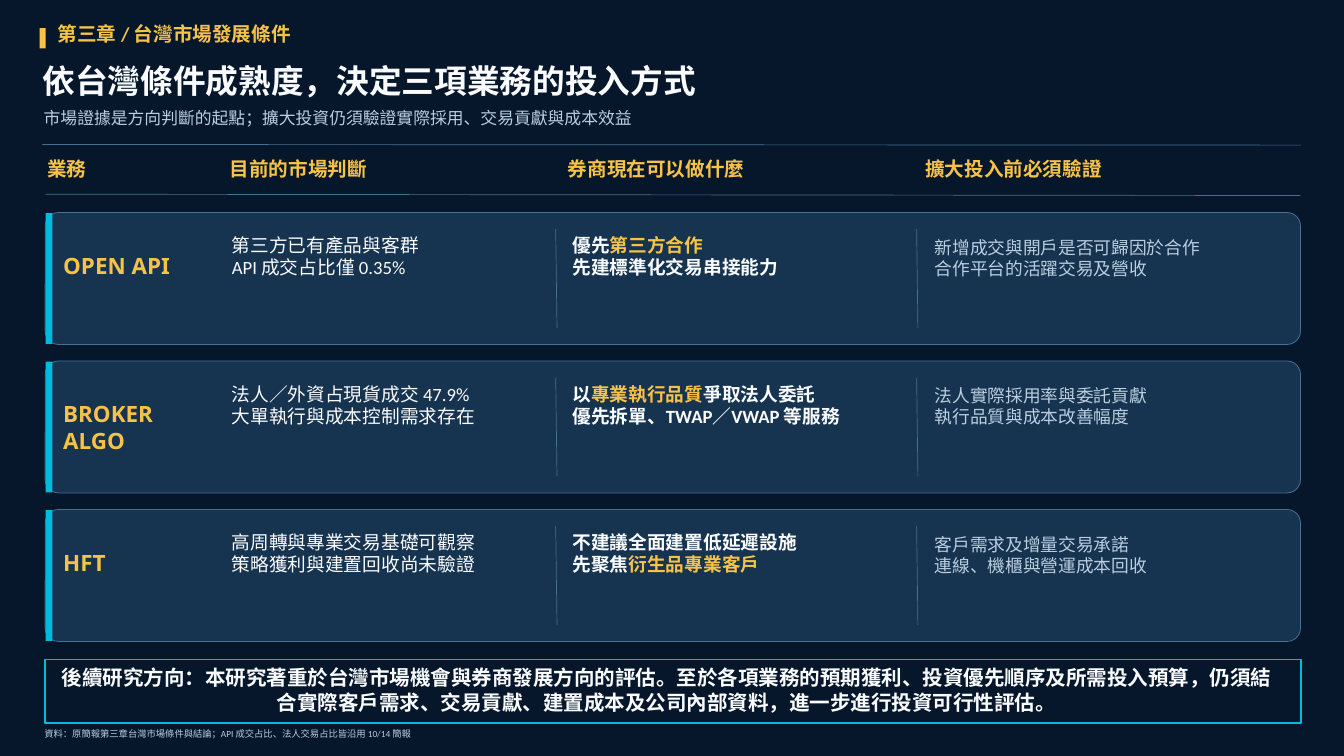
"""Build the slide that matches three brokerage businesses to Taiwan market conditions."""
from dataclasses import dataclass
from typing import NamedTuple

from lxml.etree import SubElement
from pptx import Presentation
from pptx.dml.color import RGBColor
from pptx.enum.shapes import MSO_CONNECTOR, MSO_SHAPE
from pptx.enum.text import MSO_ANCHOR, PP_ALIGN
from pptx.oxml.ns import qn
from pptx.util import Pt


@dataclass(frozen=True)
class Theme:
    bg: str = "06172B"
    card: str = "16334F"
    rule: str = "467192"
    cyan: str = "00BBDE"
    gold: str = "F6C247"
    white: str = "FAFCFF"
    muted: str = "BACEDF"
    font: str = "Calibri"
    label_font: str = "Noto Sans"
    title: float = 35
    label: float = 24
    summary: float = 22
    heading: float = 21
    body: float = 20
    check: float = 19
    subtitle: float = 18
    source: float = 10


T = Theme()


class Box(NamedTuple):
    x: float
    y: float
    w: float
    h: float


class Style(NamedTuple):
    size: float
    color: str
    bold: bool = False
    font: str = T.font
    align: PP_ALIGN = PP_ALIGN.LEFT


class Accent(NamedTuple):
    text: str


Line = tuple[str | Accent, ...]


@dataclass(frozen=True)
class Business:
    label: tuple[str, ...]
    market: tuple[str, ...]
    action: tuple[Line, ...]
    check: tuple[str, ...]


HEADING = Style(T.heading, T.gold, True)
TITLE = Style(T.title, T.white, True)
SUBTITLE = Style(T.subtitle, T.muted)
LABEL = Style(T.label, T.gold, True, T.label_font)
MARKET = Style(T.body, T.white)
ACTION = Style(T.body, T.white, True)
CHECK = Style(T.check, T.muted)
SUMMARY = Style(T.summary, T.white, True, align=PP_ALIGN.CENTER)
SOURCE = Style(T.source, T.muted)

HEADINGS = (
    ("業務", 50.4, 184),
    ("目前的市場判斷", 246.2, 349),
    ("券商現在可以做什麼", 608.4, 373),
    ("擴大投入前必須驗證", 991.4, 398),
)

BUSINESSES = (
    Business(
        ("OPEN API",),
        ("第三方已有產品與客群", "API 成交占比僅 0.35%"),
        (("優先", Accent("第三方合作")), ("先建標準化交易串接能力",)),
        ("新增成交與開戶是否可歸因於合作", "合作平台的活躍交易及營收"),
    ),
    Business(
        ("BROKER", "ALGO"),
        ("法人／外資占現貨成交 47.9%", "大單執行與成本控制需求存在"),
        (("以", Accent("專業執行品質"), "爭取法人委託"), ("優先拆單、TWAP／VWAP 等服務",)),
        ("法人實際採用率與委託貢獻", "執行品質與成本改善幅度"),
    ),
    Business(
        ("HFT",),
        ("高周轉與專業交易基礎可觀察", "策略獲利與建置回收尚未驗證"),
        (("不建議全面建置低延遲設施",), ("先聚焦", Accent("衍生品專業客戶"))),
        ("客戶需求及增量交易承諾", "連線、機櫃與營運成本回收"),
    ),
)

ROW_TOP, ROW_PITCH, ROW_H = 227.7, 159.1, 141.4


def rgb(color: str) -> RGBColor:
    """Turn a hex string into a colour."""
    return RGBColor.from_string(color)


def write(sp, lines: tuple[Line, ...], style: Style) -> None:
    """Fill a text shape with lines of runs, with no insets and exact leading."""
    tf = sp.text_frame
    tf.word_wrap = True
    tf.vertical_anchor = MSO_ANCHOR.TOP
    tf.margin_left = tf.margin_top = tf.margin_right = tf.margin_bottom = 0
    for i, line in enumerate(lines):
        p = tf.add_paragraph() if i else tf.paragraphs[0]
        p.alignment = style.align
        p.line_spacing = Pt(round(style.size * 1.2, 1))
        for part in line:
            r = p.add_run()
            accent = isinstance(part, Accent)
            r.text = part.text if accent else part
            r.font.name = style.font
            r.font.size = Pt(style.size)
            r.font.bold = style.bold
            r.font.color.rgb = rgb(T.gold if accent else style.color)


def add_text(s, box: Box, lines: tuple[Line, ...], style: Style) -> None:
    """Add a text box."""
    write(s.shapes.add_textbox(*map(Pt, box)), lines, style)


def add_box(s, box: Box, fill: str, line: str | None = None,
            width: float = 0, radius: float = 0) -> None:
    """Add a filled rectangle, rounded when a radius is given."""
    kind = MSO_SHAPE.ROUNDED_RECTANGLE if radius else MSO_SHAPE.RECTANGLE
    sp = s.shapes.add_shape(kind, *map(Pt, box))
    sp.shadow.inherit = False
    sp.fill.solid()
    sp.fill.fore_color.rgb = rgb(fill)
    if radius:
        sp.adjustments[0] = radius / min(box.w, box.h)
    if line:
        sp.line.color.rgb = rgb(line)
        sp.line.width = Pt(width)
    else:
        sp.line.fill.background()


def add_rule(s, x1: float, y1: float, x2: float, y2: float) -> None:
    """Add a thin dividing line."""
    c = s.shapes.add_connector(MSO_CONNECTOR.STRAIGHT, Pt(x1), Pt(y1), Pt(x2), Pt(y2))
    c.line.color.rgb = rgb(T.rule)
    c.line.width = Pt(0.75)
    SubElement(c._element.spPr, qn("a:effectLst"))


def add_header(s) -> None:
    """Add the chapter tag, title, subtitle and column headings."""
    add_box(s, Box(42.5, 30.2, 6.5, 21.6), T.gold)
    add_text(s, Box(61.9, 23, 864, 34), (("第三章 / 台灣市場發展條件",),), HEADING)
    sp = s.shapes.title
    sp.left, sp.top, sp.width, sp.height = map(Pt, Box(45.4, 64.8, 1357, 52.6))
    write(sp, (("依台灣條件成熟度，決定三項業務的投入方式",),), TITLE)
    add_text(s, Box(46.8, 115.9, 1325, 29.5),
             (("市場證據是方向判斷的起點；擴大投資仍須驗證實際採用、交易貢獻與成本效益",),), SUBTITLE)
    add_rule(s, 45.4, 154.8, 1393.9, 155.5)
    for text, x, w in HEADINGS:
        add_text(s, Box(x, 168.5, w, 34.5), ((text,),), HEADING)
    add_rule(s, 49, 208.1, 1393.2, 209.5)


def add_business(s, b: Business, y: float) -> None:
    """Add one business card with its four columns."""
    add_box(s, Box(48.4, y, 1345, ROW_H), T.card, T.rule, 0.85, 14.4)
    add_box(s, Box(49, y + 0.6, 7.2, ROW_H - 1.2), T.cyan)
    add_text(s, Box(67.7, y + 42.3, 161.3, 49), tuple((t,) for t in b.label), LABEL)
    add_text(s, Box(248.4, y + 22.9, 338.4, 90.7), tuple((t,) for t in b.market), MARKET)
    add_text(s, Box(613.4, y + 22.9, 360, 51.1), b.action, ACTION)
    add_text(s, Box(1001.5, y + 25.7, 373, 89.3), tuple((t,) for t in b.check), CHECK)
    for x in (595.4, 982.1):
        add_rule(s, x, y + 17.8, x + 1.4, y + 123.7)


def add_footer(s) -> None:
    """Add the framed summary and the source line."""
    add_box(s, Box(48.2, 706.3, 1345.7, 68.4), T.bg, T.cyan, 1.3)
    add_text(s, Box(56.2, 712.8, 1315.4, 56.2), ((
        "後續研究方向：本研究著重於台灣市場機會與券商發展方向的評估。"
        "至於各項業務的預期獲利、投資優先順序及所需投入預算，"
        "仍須結合實際客戶需求、交易貢獻、建置成本及公司內部資料，進一步進行投資可行性評估。",),), SUMMARY)
    add_text(s, Box(47.5, 779.8, 1335, 15.1),
             (("資料：原簡報第三章台灣市場條件與結論；API 成交占比、法人交易占比皆沿用 10/14 簡報",),), SOURCE)


def main() -> None:
    """Build and save the slide."""
    prs = Presentation()
    prs.slide_width, prs.slide_height = Pt(1440), Pt(810)
    s = prs.slides.add_slide(prs.slide_layouts[5])
    s.background.fill.solid()
    s.background.fill.fore_color.rgb = rgb(T.bg)
    add_header(s)
    for i, b in enumerate(BUSINESSES):
        add_business(s, b, ROW_TOP + i * ROW_PITCH)
    add_footer(s)
    prs.save("out.pptx")


if __name__ == "__main__":
    main()
